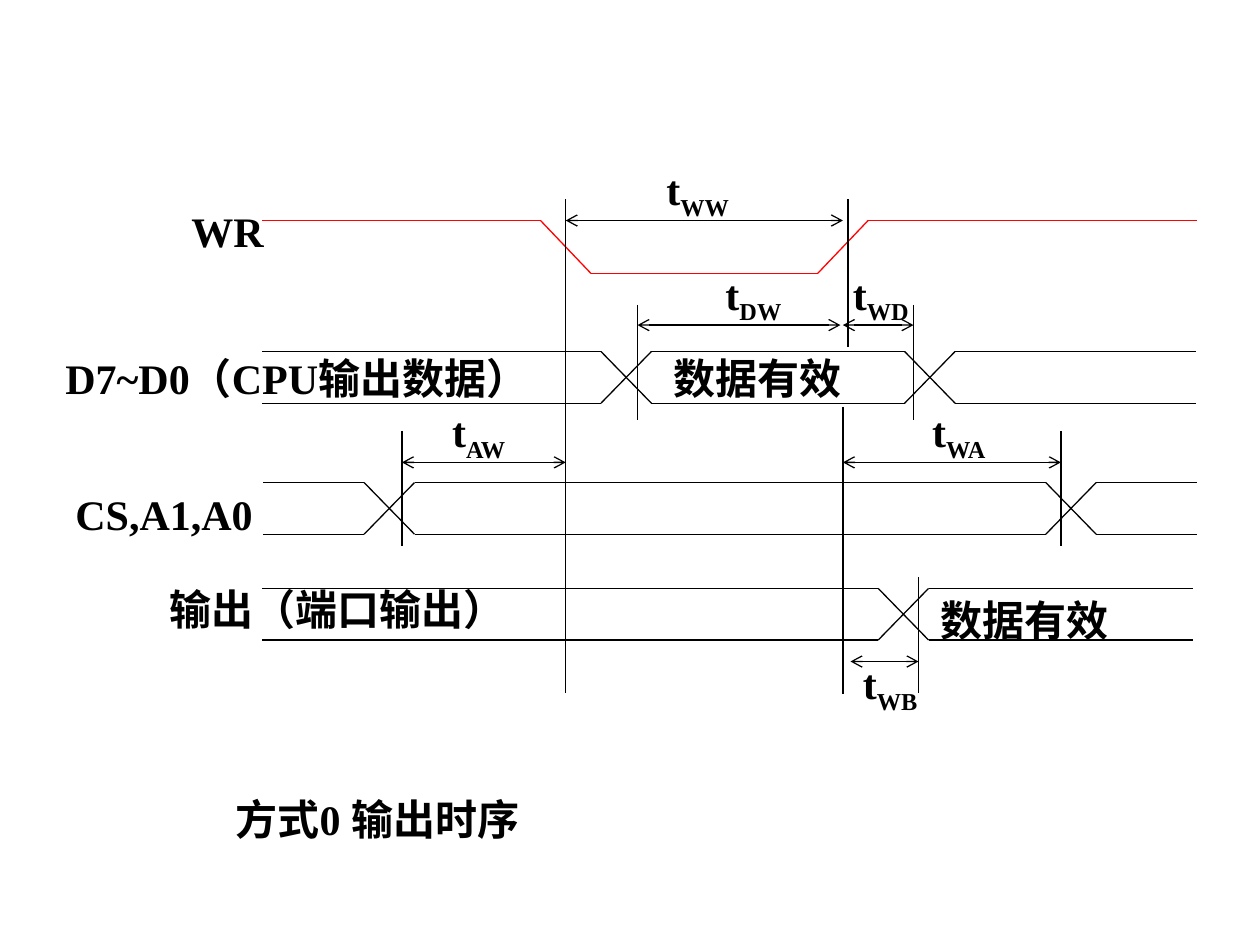
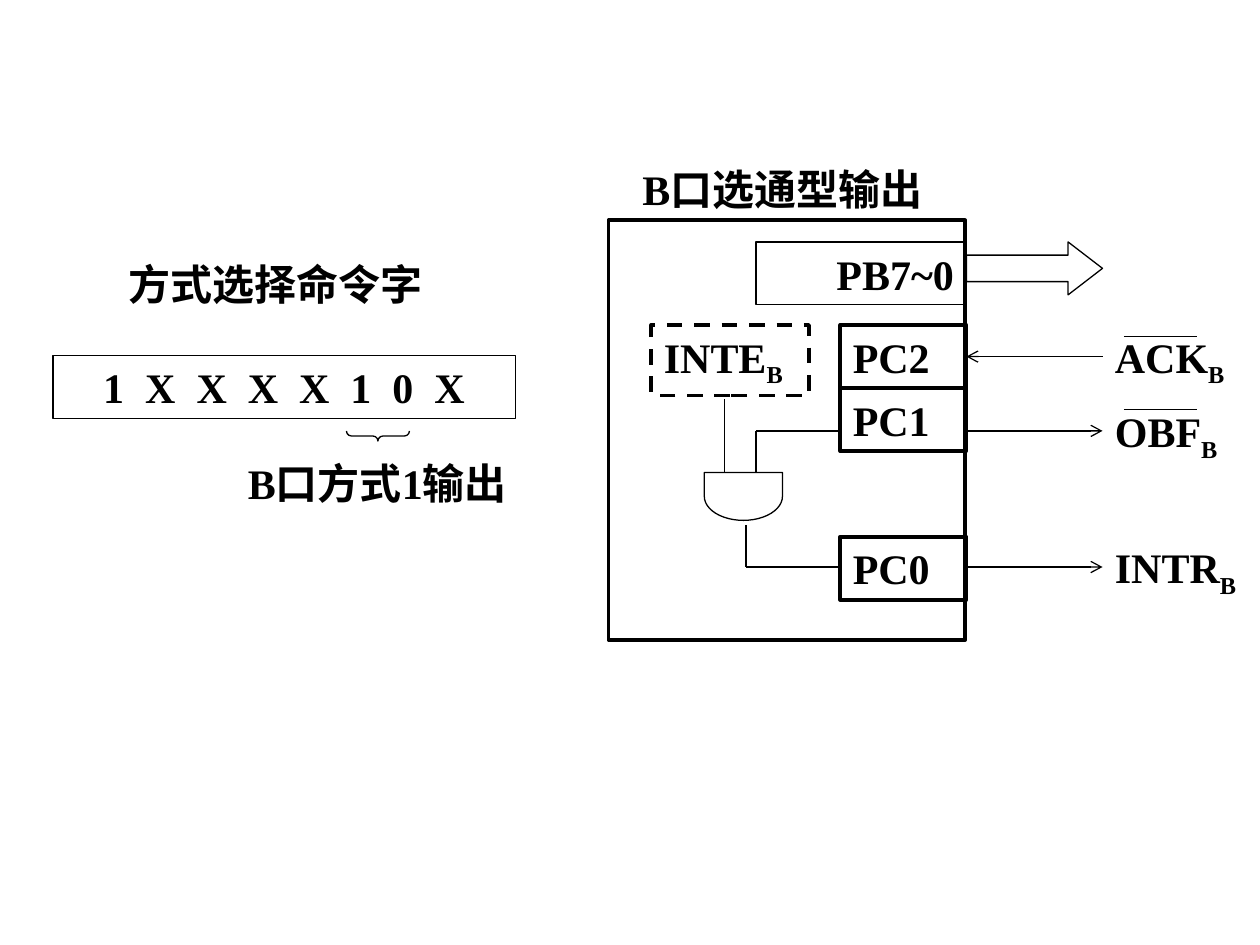
from itertools import pairwise
from typing import NamedTuple

from lxml.etree import SubElement
from pptx import Presentation
from pptx.dml.color import RGBColor
from pptx.enum.dml import MSO_LINE
from pptx.enum.shapes import MSO_CONNECTOR, MSO_SHAPE as Kind
from pptx.enum.text import MSO_ANCHOR, MSO_AUTO_SIZE, PP_ALIGN as Align
from pptx.oxml.ns import qn
from pptx.util import Inches, Pt

COLORS = {"ink": "000000", "write": "FF0000"}
FONT = "Times New Roman"
SIZE = 24
THIN, THICK = 0.75, 2.25
RAIL = 0.41


class Label(NamedTuple):
    text: str
    left: float
    top: float
    width: float = 2.83
    height: float = 0.5
    sub: str = ""
    align: Align = Align.LEFT


class Box(NamedTuple):
    label: Label
    weight: float = THIN
    dash: bool = False


class Line(NamedTuple):
    x1: float
    y1: float
    x2: float
    y2: float
    head: bool = False
    tail: bool = False
    color: str = "ink"


class Bus(NamedTuple):
    top: float
    edges: tuple[float, ...]


def paint(hue: str) -> RGBColor:
    return RGBColor.from_string(COLORS[hue])


def place(shape, label: Label) -> None:
    shape.left, shape.top = Inches(label.left), Inches(label.top)
    shape.width, shape.height = Inches(label.width), Inches(label.height)


def write(shape, label: Label, gap: int = 0) -> None:
    frame = shape.text_frame
    frame.word_wrap = True
    frame.auto_size = MSO_AUTO_SIZE.NONE
    frame.vertical_anchor = MSO_ANCHOR.TOP
    para = frame.paragraphs[0]
    para.alignment = label.align
    font = para.font
    font.name, font.size, font.bold = FONT, Pt(SIZE), True
    font.color.rgb = paint("ink")
    run = para.add_run()
    run.text = label.text
    if gap:
        run.font._element.set("spc", str(gap * 100))
    if label.sub:
        low = para.add_run()
        low.text = label.sub
        low.font._element.set("baseline", "-25000")


def add_title(slide, label: Label) -> None:
    title = slide.shapes.title
    place(title, label)
    write(title, label)


def add_label(slide, label: Label) -> None:
    area = (label.left, label.top, label.width, label.height)
    write(slide.shapes.add_textbox(*map(Inches, area)), label)


def add_shape(slide, kind: Kind, left: float, top: float, width: float,
              height: float, weight: float = THIN):
    area = map(Inches, (left, top, width, height))
    shape = slide.shapes.add_shape(kind, *area)
    shape.shadow.inherit = False
    shape.fill.background()
    shape.line.color.rgb = paint("ink")
    shape.line.width = Pt(weight)
    return shape


def add_box(slide, box: Box, gap: int = 0) -> None:
    tag = box.label
    shape = add_shape(slide, Kind.RECTANGLE, tag.left, tag.top,
                      tag.width, tag.height, box.weight)
    if box.dash:
        shape.line.dash_style = MSO_LINE.DASH
    write(shape, tag, gap)


def add_line(slide, line: Line) -> None:
    ends = map(Inches, (line.x1, line.y1, line.x2, line.y2))
    link = slide.shapes.add_connector(MSO_CONNECTOR.STRAIGHT, *ends)
    link.line.color.rgb = paint(line.color)
    link.line.width = Pt(THIN)
    stroke = link.line._get_or_add_ln()
    for tag, shown in (("a:headEnd", line.head), ("a:tailEnd", line.tail)):
        if shown:
            SubElement(stroke, qn(tag), type="arrow")
    SubElement(link._element.spPr, qn("a:effectLst"))


def add_bus(slide, bus: Bus) -> None:
    """Draw level rails between edges, with a crossing in every second span."""
    low = bus.top + RAIL
    for step, (left, right) in enumerate(pairwise(bus.edges)):
        swap = step % 2 == 1
        add_line(slide, Line(left, bus.top, right, low if swap else bus.top))
        add_line(slide, Line(left, low, right, bus.top if swap else low))


def draw_timing(slide) -> None:
    add_title(slide, Label("方式0 输出时序", 1.58, 6.25, align=Align.CENTER))

    buses = (
        Bus(3.83, (2.09, 2.89, 3.29, 8.3, 8.7, 9.5)),
        Bus(4.67, (2.08, 6.97, 7.37, 9.47)),
        Bus(2.79, (2.08, 4.77, 5.17, 7.18, 7.58, 9.49)),
    )
    for bus in buses:
        add_bus(slide, bus)

    high, low = 1.75, 2.17
    pulse = ((2.08, high), (4.29, high), (4.69, low),
             (6.49, low), (6.89, high), (9.5, high))
    for start, end in pairwise(pulse):
        add_line(slide, Line(*start, *end, color="write"))

    marks = ((4.49, 1.58, 5.5), (6.73, 1.58, 2.75), (6.69, 3.23, 5.51),
             (7.29, 4.58, 5.5), (8.42, 3.42, 4.33), (7.25, 2.42, 3.33),
             (5.06, 2.42, 3.33), (3.19, 3.42, 4.33))
    for x, top, end in marks:
        add_line(slide, Line(x, top, x, end))

    spans = ((5.06, 6.67, 2.58), (6.69, 7.25, 2.58), (3.19, 4.49, 3.67),
             (6.69, 8.42, 3.67), (6.75, 7.29, 5.25), (4.49, 6.69, 1.75))
    for left, right, y in spans:
        add_line(slide, Line(left, y, right, y, head=True, tail=True))

    times = (("AW", 3.49, 3.17), ("DW", 5.66, 2.08), ("WD", 6.67, 2.08),
             ("WA", 7.3, 3.17), ("WB", 6.75, 5.17), ("WW", 5.19, 1.25))
    for sub, left, top in times:
        add_label(slide, Label("t", left, top, 1, 0.56, sub))

    names = (
        Label("数据有效", 7.37, 4.67),
        Label("数据有效", 5.25, 2.75),
        Label("WR", 1.42, 1.58, 1.42),
        Label("输出（端口输出）", 1.25, 4.58, 4.25),
        Label("CS,A1,A0", 0.5, 3.83, 1.75),
        Label("D7~D0（CPU输出数据）", 0.42, 2.75, 4.33),
    )
    for name in names:
        add_label(slide, name)


def draw_port(slide) -> None:
    add_title(slide, Label("方式选择命令字", 0.92, 2))
    add_label(slide, Label("B口方式1输出", 1.58, 3.58, align=Align.CENTER))
    add_label(slide, Label("B口选通型输出", 5, 1.25))

    word = Label("1 X X X X 1 0 X", 0.42, 2.82, 3.67, align=Align.CENTER)
    add_box(slide, Box(word), gap=3)
    brace = add_shape(slide, Kind.LEFT_BRACE, 2.96, 3.21, 0.08, 0.5)
    brace.rotation = 270
    brace.adjustments[0] = 0.5

    add_shape(slide, Kind.RECTANGLE, 4.83, 1.75, 2.83, 3.33, THICK)
    for pin, top in (("PC2", 2.58), ("PC1", 3.08), ("PC0", 4.26)):
        add_box(slide, Box(Label(pin, 6.67, top, 1), THICK))
    inte = Label("INTE", 5.17, 2.58, 1.25, 0.56, "B")
    add_box(slide, Box(inte, THICK, dash=True))
    add_box(slide, Box(Label("PB7~0", 6, 1.92, 1.67, align=Align.RIGHT)))

    gate = add_shape(slide, Kind.FLOWCHART_DELAY, 5.71, 3.63, 0.38, 0.62)
    gate.rotation = 90
    arrow = add_shape(slide, Kind.RIGHT_ARROW, 7.67, 1.92, 1.08, 0.42)
    arrow.adjustments[1] = 0.65

    wires = (
        Line(5.75, 3.17, 5.75, 3.75),
        Line(6, 3.42, 6, 3.75),
        Line(6, 3.42, 6.67, 3.42),
        Line(5.92, 4.17, 5.92, 4.5),
        Line(5.92, 4.5, 6.67, 4.5),
        Line(7.67, 2.83, 8.75, 2.83, head=True),
        Line(7.67, 3.42, 8.75, 3.42, tail=True),
        Line(7.67, 4.5, 8.75, 4.5, tail=True),
        Line(8.92, 2.67, 9.5, 2.67),
        Line(8.92, 3.25, 9.5, 3.25),
    )
    for wire in wires:
        add_line(slide, wire)

    for name, top in (("ACK", 2.58), ("OBF", 3.17), ("INTR", 4.25)):
        add_label(slide, Label(name, 8.75, top, 2.25, 0.56, "B"))


def main() -> None:
    deck = Presentation()
    deck.slide_width, deck.slide_height = Inches(10), Inches(7.5)
    layout = deck.slide_layouts.get_by_name("Title Only")
    for draw in (draw_timing, draw_port):
        draw(deck.slides.add_slide(layout))
    deck.save("out.pptx")


if __name__ == "__main__":
    main()
